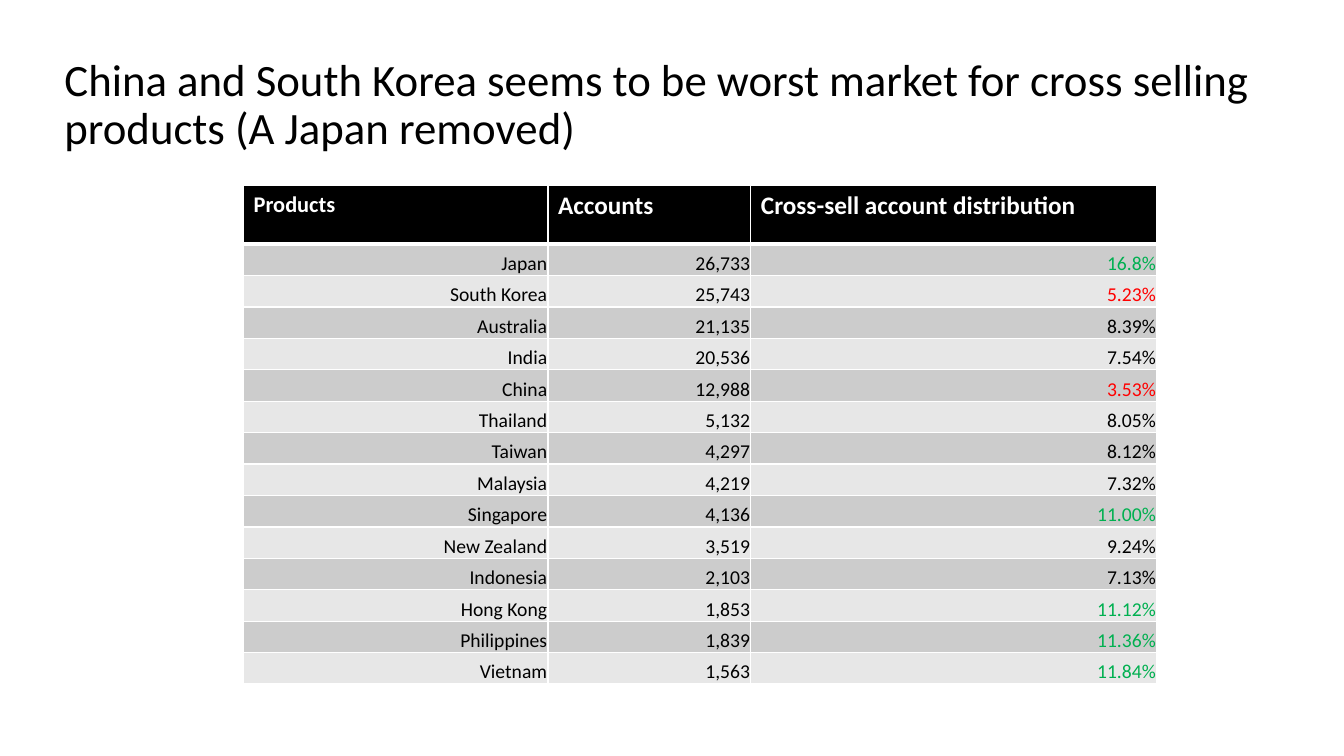
from lxml.etree import SubElement
from pptx import Presentation
from pptx.dml.color import RGBColor
from pptx.enum.text import MSO_ANCHOR, PP_ALIGN
from pptx.oxml.ns import qn
from pptx.util import Cm, Pt

COLOURS = {
    "black": "000000", "white": "FFFFFF", "dark band": "CCCCCC",
    "light band": "E7E7E7", "high": "00B050", "low": "FF0000",
}
HEADINGS = [("Products", 16), ("Accounts", 18), ("Cross-sell account distribution", 18)]
MARKETS = [
    ("Japan", "26,733", "16.8%"),
    ("South Korea", "25,743", "5.23%"),
    ("Australia", "21,135", "8.39%"),
    ("India", "20,536", "7.54%"),
    ("China", "12,988", "3.53%"),
    ("Thailand", "5,132", "8.05%"),
    ("Taiwan", "4,297", "8.12%"),
    ("Malaysia", "4,219", "7.32%"),
    ("Singapore", "4,136", "11.00%"),
    ("New Zealand", "3,519", "9.24%"),
    ("Indonesia", "2,103", "7.13%"),
    ("Hong Kong", "1,853", "11.12%"),
    ("Philippines", "1,839", "11.36%"),
    ("Vietnam", "1,563", "11.84%"),
]
COLUMN_SHARES = (3, 2, 4)
HEADER_HEIGHT = 1.47


def write_text(frame, text, size, colour="black", bold=False, align=PP_ALIGN.LEFT, spacing=None):
    para = frame.paragraphs[0]
    para.alignment = align
    para.line_spacing = spacing
    span = para.add_run()
    span.text = text
    span.font.name = "Calibri"
    span.font.size = Pt(size)
    span.font.bold = bold
    span.font.color.rgb = RGBColor.from_string(COLOURS[colour])


def format_cell(cell, fill, top=1, bottom=1):
    """Give a cell white borders, in points, and a solid fill."""
    properties = cell._tc.get_or_add_tcPr()
    for side, width in (("L", 1), ("R", 1), ("T", top), ("B", bottom)):
        line = SubElement(properties, qn(f"a:ln{side}"), w=str(Pt(width)))
        solid = SubElement(line, qn("a:solidFill"))
        SubElement(solid, qn("a:srgbClr"), val=COLOURS["white"])
    cell.fill.solid()
    cell.fill.fore_color.rgb = RGBColor.from_string(COLOURS[fill])


def share_colour(share):
    value = float(share.rstrip("%"))
    return "high" if value > 10 else "low" if value < 6 else "black"


def add_title(page, left, top, width, height):
    title = page.shapes.title
    title.left, title.top, title.width, title.height = map(Cm, (left, top, width, height))
    title.text_frame.word_wrap = True
    title.text_frame.vertical_anchor = MSO_ANCHOR.MIDDLE
    write_text(title.text_frame,
               "China and South Korea seems to be worst market for cross selling "
               "products (A Japan removed)", 32, spacing=0.9)


def add_market_table(page, left, top, width, height):
    table = page.shapes.add_table(len(MARKETS) + 1, len(HEADINGS),
                                  Cm(left), Cm(top), Cm(width), Cm(height)).table
    for column, share in zip(table.columns, COLUMN_SHARES):
        column.width = Cm(width * share / sum(COLUMN_SHARES))
    for row in table.rows:
        row.height = Cm((height - HEADER_HEIGHT) / len(MARKETS))
    table.rows[0].height = Cm(HEADER_HEIGHT)

    # Header row
    for index, (heading, size) in enumerate(HEADINGS):
        cell = table.cell(0, index)
        format_cell(cell, "black", bottom=3)
        write_text(cell.text_frame, heading, size, "white", bold=True)

    # Market rows
    for number, market in enumerate(MARKETS, 1):
        for index, text in enumerate(market):
            cell = table.cell(number, index)
            format_cell(cell, "dark band" if number % 2 else "light band",
                        top=3 if number == 1 else 1)
            cell.margin_left = cell.margin_right = cell.margin_top = Cm(0.02)
            cell.margin_bottom = 0
            cell.vertical_anchor = MSO_ANCHOR.BOTTOM
            colour = share_colour(text) if index == 2 else "black"
            write_text(cell.text_frame, text, 14, colour, align=PP_ALIGN.RIGHT)


def main():
    deck = Presentation()
    deck.slide_width, deck.slide_height = Cm(33.87), Cm(19.05)
    page = deck.slides.add_slide(deck.slide_layouts[5])
    add_title(page, 1.37, 1.24, 31.14, 2.87)
    add_market_table(page, 6.14, 4.68, 23.01, 12.57)
    deck.save("out.pptx")


if __name__ == "__main__":
    main()
